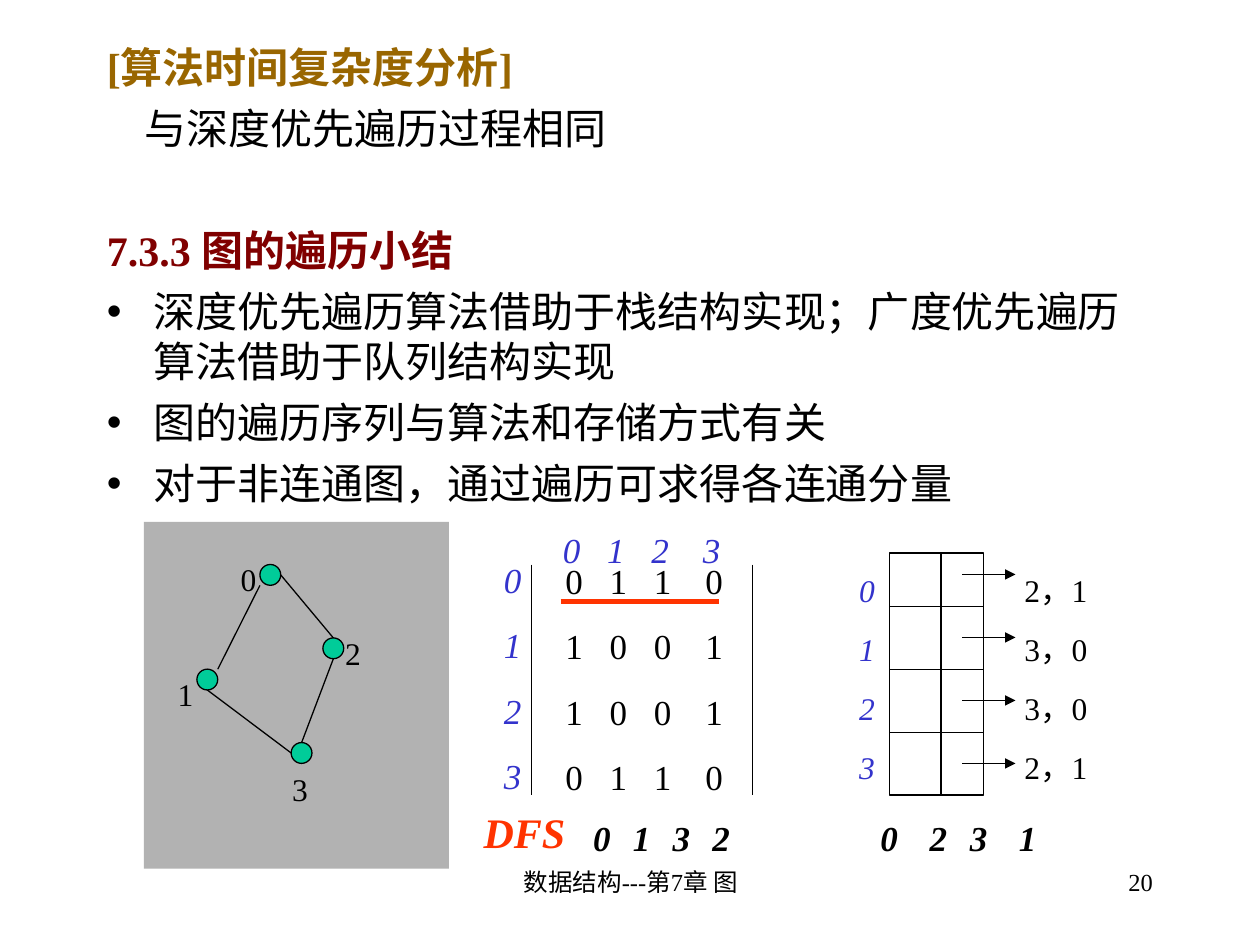
from lxml import etree
from pptx import Presentation
from pptx.dml.color import RGBColor
from pptx.enum import shapes, text
from pptx.oxml import ns
from pptx.util import Cm, Pt

FONT = "Times New Roman"
COLORS = {
    "ink": "000000", "heading": "996600", "section": "800000",
    "index": "3333CC", "accent": "FF3300", "panel": "B2B2B2", "node": "00CC99",
}
COLUMN_TABS = (0.89, 1.78, 2.82)


def rgb(name):
    return RGBColor.from_string(COLORS[name])


def style(font, size, color="ink", bold=False, italic=False):
    font.name, font.size = FONT, Pt(size)
    font.bold, font.italic = bold, italic
    font.color.rgb = rgb(color)


def add_element(parent, tag, **attributes):
    return etree.SubElement(parent, ns.qn(tag), attributes)


def set_tabs(para, stops):
    tabs = add_element(para._p.get_or_add_pPr(), "a:tabLst")
    for stop in stops:
        add_element(tabs, "a:tab", pos=str(Cm(stop)), algn="l")


def add_text(page, left, top, width, height, lines, size, gap=0, tabs=(),
             align=text.PP_ALIGN.LEFT, **look):
    box = page.shapes.add_textbox(Cm(left), Cm(top), Cm(width), Cm(height))
    frame = box.text_frame
    frame.word_wrap = True
    frame.text = "\n".join(lines)
    for number, para in enumerate(frame.paragraphs):
        if tabs:
            set_tabs(para, tabs)
        para.alignment = align
        para.space_before = Pt(gap if number else 0)
        for span in para.runs:
            style(span.font, size, **look)
    return frame


def add_line(page, start, end, color="ink", width=0.75, arrow=False):
    line = page.shapes.add_connector(
        shapes.MSO_CONNECTOR.STRAIGHT, *(Cm(value) for value in (*start, *end)))
    line.line.color.rgb = rgb(color)
    line.line.width = Pt(width)
    if arrow:
        add_element(line.line._get_or_add_ln(), "a:tailEnd", type="triangle")
    add_element(line._element.spPr, "a:effectLst")


def add_figure(page, kind, left, top, width, height, fill=None, outlined=True):
    figure = page.shapes.add_shape(kind, Cm(left), Cm(top), Cm(width), Cm(height))
    figure.shadow.inherit = False
    if fill:
        figure.fill.solid()
        figure.fill.fore_color.rgb = rgb(fill)
    else:
        figure.fill.background()
    if outlined:
        figure.line.color.rgb = rgb("ink")
        figure.line.width = Pt(0.75)
    else:
        figure.line.fill.background()


def fill_body(page, left, top, width, height):
    # text, colour, bold, bullet, left margin, space before
    rows = [
        ("[算法时间复杂度分析]", "heading", True, False, 0, 0),
        ("与深度优先遍历过程相同", "ink", False, False, 0.76, 6),
        ("7.3.3 图的遍历小结", "section", True, False, 0, 41),
        ("深度优先遍历算法借助于栈结构实现；广度优先遍历算法借助于队列结构实现",
         "ink", False, True, 0.95, 6),
        ("图的遍历序列与算法和存储方式有关", "ink", False, True, 0.95, 6),
        ("对于非连通图，通过遍历可求得各连通分量", "ink", False, True, 0.95, 6),
    ]
    body = page.placeholders[1]
    body.left, body.top, body.width, body.height = map(Cm, (left, top, width, height))
    frame = body.text_frame
    frame.auto_size = text.MSO_AUTO_SIZE.NONE
    frame.vertical_anchor = text.MSO_ANCHOR.TOP
    frame.text = "\n".join(row[0] for row in rows)
    for para, (_, color, bold, bullet, margin, gap) in zip(frame.paragraphs, rows):
        props = para._p.get_or_add_pPr()
        props.set("marL", str(Cm(margin)))
        props.set("indent", str(Cm(-margin if bullet else 0)))
        if bullet:
            add_element(props, "a:buChar", char="•")
        else:
            add_element(props, "a:buNone")
        para.space_before = Pt(gap)
        style(para.runs[0].font, 24, color, bold)


def draw_graph(page, left, top, width, height):
    diameter = 0.42
    nodes = [(2.34, 0.86), (1.07, 2.97), (3.61, 2.34), (2.97, 4.45)]
    labels = [(1.7, 0.64), (0.43, 2.97), (3.81, 2.13), (2.74, 4.88)]
    # node and contact point (as a share of its diameter) at each end
    edges = [
        ((1, 1, 0), (0, 0, 1)),
        ((1, 0.5, 1), (3, 0, 0.5)),
        ((0, 1, 0.5), (2, 0.5, 0)),
        ((3, 0.5, 0), (2, 0.5, 1)),
    ]

    def contact(node, across, down):
        x, y = nodes[node]
        return left + x + across * diameter, top + y + down * diameter

    add_figure(page, shapes.MSO_SHAPE.RECTANGLE, left, top, width, height,
               "panel", outlined=False)
    for x, y in nodes:
        add_figure(page, shapes.MSO_SHAPE.OVAL, left + x, top + y,
                   diameter, diameter, "node")
    for start, end in edges:
        add_line(page, contact(*start), contact(*end))
    for number, (x, y) in enumerate(labels):
        add_text(page, left + x, top + y, 1.27, 1.02, [str(number)], 18)


def draw_matrix(page, left, top, width, height):
    rows = ["0110", "1001", "1001", "0110"]
    for x in (left, left + width):
        add_line(page, (x, top), (x, top + height))
    add_text(page, left + 0.43, top - 0.23, 4.45, 4.98,
             ["\t".join(row) for row in rows], 20, 13.4, COLUMN_TABS)
    add_line(page, (left + 0.58, top + 0.74), (left + 3.78, top + 0.74), "accent", 3)
    # row and column numbers
    add_text(page, left - 0.81, top - 0.25, 1.4, 4.98, list("0123"), 20, 13.4,
             color="index", italic=True)
    add_text(page, left + 0.38, top - 0.86, 5, 1.12, ["\t".join("0123")], 20,
             tabs=COLUMN_TABS, color="index", italic=True)


def draw_adjacency_list(page, left, top, width, height):
    neighbours = ["2，1", "3，0", "3，0", "2，1"]
    pitch = 1.27
    frame = add_text(page, left - 0.86, top + 0.23, 5.92, 4.5, list("0123"), 18,
                     12.2, (3.33,), color="index", italic=True)
    for para, names in zip(frame.paragraphs, neighbours):
        span = para.add_run()
        span.text = "\t" + names
        style(span.font, 18)
    add_figure(page, shapes.MSO_SHAPE.RECTANGLE, left, top, width, height)
    add_line(page, (left + 1.04, top), (left + 1.04, top + height))
    for number in range(len(neighbours)):
        if number:
            y = top + 1.07 + (number - 1) * pitch
            add_line(page, (left, y), (left + width, y))
        y = top + 0.43 + number * pitch
        add_line(page, (left + 1.47, y), (left + 2.54, y), arrow=True)


def add_sequence(page, top, digits, lefts):
    for digit, left in zip(digits, lefts):
        add_text(page, left, top, 1.2, 1.12, [digit], 20, bold=True, italic=True)


def add_footer(page, top, height):
    add_text(page, 8.69, top, 8.05, height, ["数据结构---第7章 图"], 14,
             align=text.PP_ALIGN.CENTER)
    add_text(page, 18.21, top, 5.28, height, ["20"], 14, align=text.PP_ALIGN.RIGHT)


def main():
    deck = Presentation()
    deck.slide_width, deck.slide_height = Cm(25.4), Cm(19.05)
    page = deck.slides.add_slide(deck.slide_layouts[1])
    title = page.shapes.title._element
    title.getparent().remove(title)

    add_footer(page, 17.35, 1.27)
    fill_body(page, 1.9, 0.71, 21.59, 9.8)
    draw_graph(page, 2.9, 10.52, 6.15, 6.99)
    draw_matrix(page, 10.72, 11.38, 4.45, 4.65)
    draw_adjacency_list(page, 17.93, 11.15, 1.9, 4.88)

    # Depth-first results for both storage forms
    add_text(page, 9.5, 16.13, 2.79, 1.27, ["DFS"], 24,
             color="accent", bold=True, italic=True)
    add_sequence(page, 16.33, "0132", [11.71 + 0.8 * step for step in range(4)])
    add_sequence(page, 16.33, "0231", [17.5, 18.49, 19.3, 20.29])
    deck.save("out.pptx")


if __name__ == "__main__":
    main()
